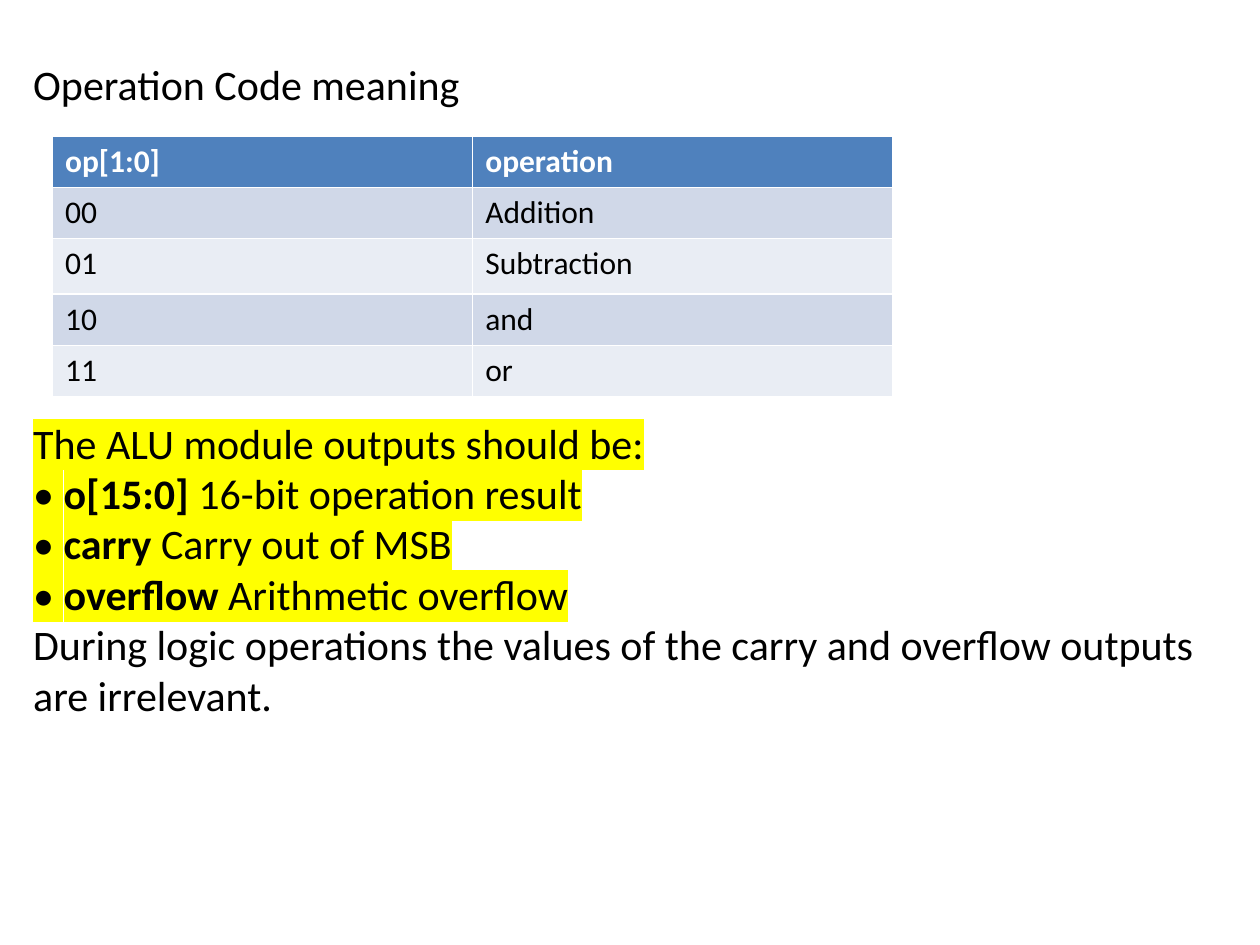
"""Build the slide on ALU operation codes and outputs."""
from dataclasses import dataclass

import pptx
import pptx.dml.color
import pptx.oxml
import pptx.oxml.ns
import pptx.util

Cm = pptx.util.Cm
Pt = pptx.util.Pt
RGBColor = pptx.dml.color.RGBColor

BLACK = RGBColor(0x00, 0x00, 0x00)
WHITE = RGBColor(0xFF, 0xFF, 0xFF)
BLUE = RGBColor(0x4F, 0x81, 0xBD)
BANDS = (RGBColor(0xE9, 0xED, 0xF4), RGBColor(0xD0, 0xD8, 0xE8))
YELLOW = RGBColor(0xFF, 0xFF, 0x00)
FONT = "Calibri"


@dataclass
class Run:
    text: str
    bold: bool = False


@dataclass
class Line:
    runs: list[Run]
    marked: bool = False
    gap: float = 0


LINES = [
    Line([Run("Operation Code meaning")]),
    Line([Run("The ALU module outputs should be:")], True, 176),
    Line([Run("• "), Run("o[15:0] ", True), Run("16-bit operation result")], True),
    Line([Run("• "), Run("carry ", True), Run("Carry out of MSB")], True),
    Line([Run("• "), Run("overflow", True), Run(" Arithmetic overflow")], True),
    Line([Run("During logic operations the values of the carry and overflow "
              "outputs are irrelevant.")]),
]
CODES = [
    ("op[1:0]", "operation"),
    ("00", "Addition"),
    ("01", "Subtraction"),
    ("10", "and"),
    ("11", "or"),
]
HEIGHTS = (1.03, 1.03, 1.12, 1.03, 1.03)


def add_run(para, run: Run, size: int, color: RGBColor, marked: bool = False) -> None:
    """Append one styled run to a paragraph."""
    part = para.add_run()
    part.text = run.text
    part.font.size = Pt(size)
    part.font.bold = run.bold
    part.font.color.rgb = color
    if marked:
        mark = pptx.oxml.parse_xml(
            f'<a:highlight {pptx.oxml.ns.nsdecls("a")}>'
            f'<a:srgbClr val="{YELLOW}"/></a:highlight>')
        part.font.fill._xPr.append(mark)
    part.font.name = FONT


def add_body(slide, lines: list[Line]) -> None:
    """Draw the running text, leaving room for the table."""
    box = slide.shapes.add_textbox(Cm(0.42), Cm(1.06), Cm(24.56), Cm(13.6))
    frame = box.text_frame
    frame.word_wrap = True
    for index, line in enumerate(lines):
        para = frame.add_paragraph() if index else frame.paragraphs[0]
        para.space_before = Pt(line.gap)
        for run in line.runs:
            add_run(para, run, 24, BLACK, line.marked)


def add_codes(slide, codes: list[tuple[str, str]]) -> None:
    """Draw the table of operation codes."""
    table = slide.shapes.add_table(
        len(codes), 2, Cm(1.06), Cm(2.75), Cm(16.94), Cm(sum(HEIGHTS))).table
    for index, (row, texts) in enumerate(zip(table.rows, codes)):
        row.height = Cm(HEIGHTS[index])
        head = index == 0
        for cell, text in zip(row.cells, texts):
            cell.fill.solid()
            cell.fill.fore_color.rgb = BLUE if head else BANDS[index % 2]
            add_run(cell.text_frame.paragraphs[0], Run(text, head), 18,
                    WHITE if head else BLACK)


def main() -> None:
    """Make and save the deck."""
    deck = pptx.Presentation()
    deck.slide_width, deck.slide_height = Cm(25.4), Cm(19.05)
    slide = deck.slides.add_slide(deck.slide_layouts[6])
    add_body(slide, LINES)
    add_codes(slide, CODES)
    deck.save("out.pptx")


if __name__ == "__main__":
    main()
